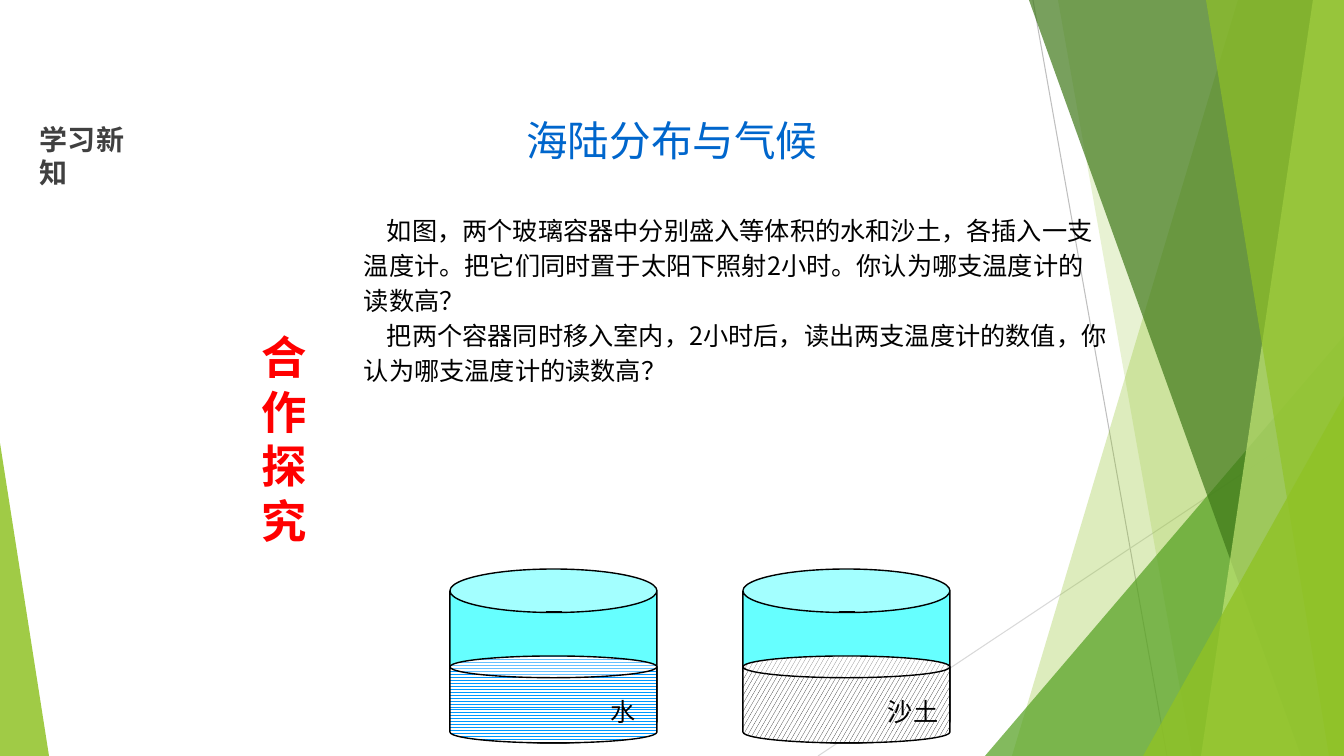
from dataclasses import dataclass

from lxml.etree import SubElement
from pptx import Presentation
from pptx.dml.color import RGBColor
from pptx.enum.dml import MSO_PATTERN
from pptx.enum.shapes import MSO_CONNECTOR, MSO_SHAPE
from pptx.enum.text import PP_ALIGN
from pptx.oxml.ns import qn
from pptx.util import Pt

SCALE = 914400 / 100.8
WIDTH, HEIGHT = 1344, 756


@dataclass(frozen=True)
class Theme:
    """Colours, font and type sizes of the slide."""
    font: str = "Noto Sans CJK SC"
    white: str = "FFFFFF"
    black: str = "000000"
    heading: str = "404040"
    title: str = "0066CC"
    banner: str = "FF0000"
    glass: str = "66FFFF"
    water: str = "0099FF"
    green: str = "90C226"
    mid_green: str = "54A021"
    dark_green: str = "3F7819"
    light_green: str = "C0E474"
    grey: str = "BFBFBF"
    light_grey: str = "D9D9D9"
    body_size: float = 18
    heading_size: float = 20
    title_size: float = 29.7
    banner_size: float = 32.4


THEME = Theme()


def px(length):
    """Turn pixels into EMU."""
    return round(length * SCALE)


def rgb(colour):
    """Turn a hex string into a colour."""
    return RGBColor.from_string(colour)


def add_line(slide, start, end, colour, width):
    """Draw a straight line without shadow."""
    line = slide.shapes.add_connector(
        MSO_CONNECTOR.STRAIGHT, *(px(value) for value in (*start, *end)))
    line.line.color.rgb = rgb(colour)
    line.line.width = Pt(width)
    SubElement(line._element.spPr, qn("a:effectLst"))


def add_preset(slide, kind, box, adjustment):
    """Add an adjusted preset shape without shadow."""
    shape = slide.shapes.add_shape(kind, *(px(value) for value in box))
    shape.adjustments[0] = adjustment
    shape.shadow.inherit = False
    return shape


def tint(shape, colour, opacity):
    """Give a shape a see-through fill and no outline."""
    shape.fill.solid()
    shape.fill.fore_color.rgb = rgb(colour)
    shape.line.fill.background()
    shape.shadow.inherit = False
    fill_colour = shape._element.spPr.find(qn("a:solidFill"))[0]
    SubElement(fill_colour, qn("a:alpha"), val=str(opacity * 1000))


def add_band(slide, top_left, bottom_left, colour, opacity):
    """Draw a band from a slanted left edge to the right side of the slide."""
    builder = slide.shapes.build_freeform(top_left, 0, scale=SCALE)
    builder.add_line_segments(
        [(WIDTH, 0), (WIDTH, HEIGHT), (bottom_left, HEIGHT)], close=True)
    tint(builder.convert_to_shape(), colour, opacity)


def add_corner(slide, box, apex, colour, opacity):
    """Draw a right triangle in a corner of the slide."""
    triangle = add_preset(slide, MSO_SHAPE.ISOSCELES_TRIANGLE, box, apex)
    tint(triangle, colour, opacity)


def add_text(slide, box, lines, size, colour, bold=False, align=PP_ALIGN.LEFT,
             spacing=None, indent=0, wrap=False):
    """Add a text box with one paragraph for each line."""
    frame = slide.shapes.add_textbox(*(px(value) for value in box)).text_frame
    frame.word_wrap = wrap
    frame.margin_left = frame.margin_right = 0
    frame.margin_top = frame.margin_bottom = 0
    frame.text = "\n".join(lines)
    for paragraph in frame.paragraphs:
        paragraph.alignment = align
        if spacing:
            paragraph.line_spacing = Pt(spacing)
        properties = paragraph._p.get_or_add_pPr()
        if indent:
            properties.set("indent", str(px(indent)))
        font = paragraph.font
        font.size = Pt(size)
        font.bold = bold
        font.color.rgb = rgb(colour)
        font.name = THEME.font
        SubElement(properties.find(qn("a:defRPr")), qn("a:ea"),
                   typeface=THEME.font)


def draw_backdrop(slide):
    """Draw the green facets at both sides of the slide."""
    add_line(slide, (1033, 0), (1167, HEIGHT), THEME.grey, 0.75)
    add_line(slide, (WIDTH, 406), (818, HEIGHT), THEME.light_grey, 0.75)
    add_band(slide, 1238, 1012, THEME.green, 30)
    add_band(slide, 1058, 1192, THEME.green, 20)
    add_corner(slide, (985, 336, 359, 420), 1, THEME.mid_green, 72)
    add_band(slide, 1029, 1301, THEME.dark_green, 70)
    add_band(slide, 1313, 1201, THEME.light_green, 70)
    add_band(slide, 1206, 1329, THEME.green, 65)
    add_corner(slide, (1143, 396, 201, 360), 1, THEME.green, 80)
    add_corner(slide, (0, 443, 49, 313), 0, THEME.green, 85)


def draw_container(slide, box, pattern, colour, label, label_left):
    """Draw a glass container half filled with a patterned material."""
    left, top, width, height = box
    half = height // 2
    glass = add_preset(slide, MSO_SHAPE.CAN, box, 0.25)
    glass.fill.solid()
    glass.fill.fore_color.rgb = rgb(THEME.glass)
    material = add_preset(
        slide, MSO_SHAPE.CAN, (left, top + half, width, half), 0.25)
    material.fill.patterned()
    material.fill.pattern = pattern
    material.fill.fore_color.rgb = rgb(colour)
    material.fill.back_color.rgb = rgb(THEME.white)
    for can in (glass, material):
        can.line.color.rgb = rgb(THEME.black)
        can.line.width = Pt(1)
    tick_y = top + height // 4
    add_line(slide, (left + 96, tick_y), (left + 112, tick_y), THEME.black, 1)
    add_text(slide, (left + label_left, top + 127, 26 * len(label), 37),
             [label], THEME.body_size, THEME.black)


def draw_headings(slide):
    """Place the section label, the title and the vertical banner."""
    add_text(slide, (40, 122, 112, 41), ["学习新知"], THEME.heading_size,
             THEME.heading, bold=True)
    add_text(slide, (492, 115, 360, 60), ["海陆分布与气候"], THEME.title_size,
             THEME.title, align=PP_ALIGN.CENTER)
    add_text(slide, (259, 329, 50, 217), list("合作探究"), THEME.banner_size,
             THEME.banner, bold=True, align=PP_ALIGN.CENTER, spacing=39)


def draw_question(slide, box):
    """Place the two paragraphs of the experiment question."""
    add_text(slide, box, [
        "如图，两个玻璃容器中分别盛入等体积的水和沙土，各插入一支温度计。"
        "把它们同时置于太阳下照射2小时。你认为哪支温度计的读数高？",
        "把两个容器同时移入室内，2小时后，读出两支温度计的数值，"
        "你认为哪支温度计的读数高？",
    ], THEME.body_size, THEME.black, spacing=25, indent=23, wrap=True)


def main():
    """Build the slide and save it."""
    presentation = Presentation()
    presentation.slide_width = px(WIDTH)
    presentation.slide_height = px(HEIGHT)
    slide = presentation.slides.add_slide(presentation.slide_layouts[6])
    draw_backdrop(slide)
    draw_headings(slide)
    draw_container(slide, (450, 569, 207, 174), MSO_PATTERN.ZIG_ZAG,
                   THEME.water, "水", 161)
    draw_container(slide, (743, 569, 207, 174), MSO_PATTERN.LARGE_CONFETTI,
                   THEME.black, "沙土", 145)
    draw_question(slide, (364, 211, 744, 175))
    presentation.save("out.pptx")


if __name__ == "__main__":
    main()
